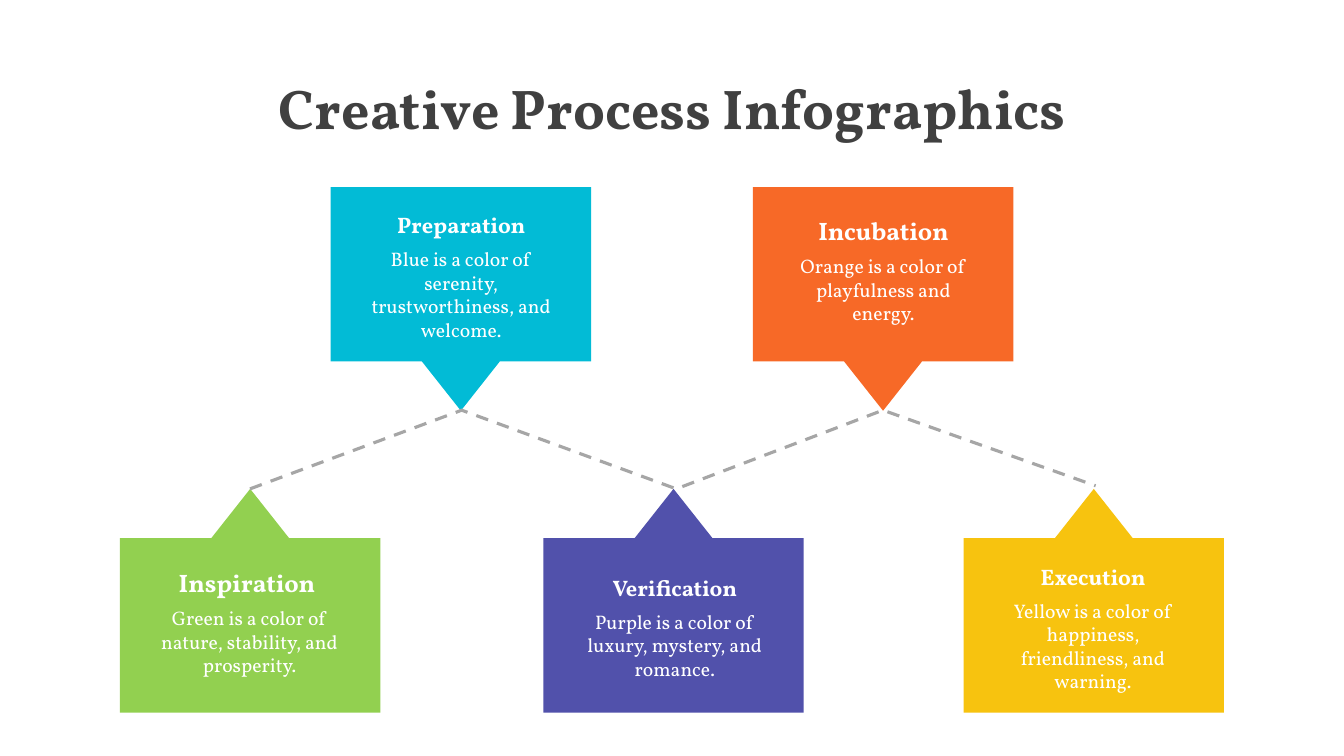
from dataclasses import dataclass

from pptx import Presentation
from pptx import util as u
from pptx.dml.color import RGBColor
from pptx.enum import dml, shapes, text

Pt = u.Pt

FONT = "Vollkorn"
WHITE = RGBColor(0xFF, 0xFF, 0xFF)
CHARCOAL = RGBColor(0x40, 0x40, 0x40)
GRAY = RGBColor(0xA6, 0xA6, 0xA6)
GREEN = RGBColor(0x92, 0xD0, 0x50)
PURPLE = RGBColor(0x51, 0x51, 0xAB)
YELLOW = RGBColor(0xF7, 0xC3, 0x0F)
BLUE = RGBColor(0x02, 0xBB, 0xD6)
ORANGE = RGBColor(0xF7, 0x69, 0x27)

PAGE_WIDTH, PAGE_HEIGHT = 960, 540
CALLOUT_WIDTH, CALLOUT_HEIGHT = 186, 159.8
UPPER_TOP, LOWER_TOP = 133.6, 349.2
CALLOUT_ADJUSTMENTS = (0.348, 0.174, 0.22, 0.799)
ROUTE = ((178.6, 349.2), (329.8, 293), (483.1, 349.2), (630.7, 293), (782.6, 347))


@dataclass(frozen=True)
class Frame:
    left: float
    top: float
    width: float
    height: float

    def lengths(self) -> tuple[u.Length, ...]:
        return Pt(self.left), Pt(self.top), Pt(self.width), Pt(self.height)


@dataclass(frozen=True)
class Line:
    words: str
    size: float
    bold: bool = False
    color: RGBColor = WHITE
    space_before: float = 0


@dataclass(frozen=True)
class Stage:
    title: str
    title_size: float
    body: str
    color: RGBColor
    left: float
    upper: bool
    label: Frame


STAGES = (
    Stage("Inspiration ", 18, "Green is a color of nature, stability, and prosperity.",
          GREEN, 85.7, False, Frame(103, 401.8, 150.5, 95.8)),
    Stage("Verification", 16, "Purple is a color of luxury, mystery, and romance.",
          PURPLE, 388.1, False, Frame(406.8, 406.8, 150.5, 85)),
    Stage("Execution", 16, "Yellow is a color of happiness, friendliness, and warning.",
          YELLOW, 688.3, False, Frame(709.9, 398.9, 141.8, 101.5)),
    Stage("Preparation", 16, "Blue is a color of serenity, trustworthiness, and welcome.",
          BLUE, 236.2, True, Frame(254.2, 147.6, 150.5, 101.5)),
    Stage("Incubation", 18, "Orange is a color of playfulness and energy.",
          ORANGE, 537.8, True, Frame(560.2, 150.5, 141.8, 95.8)),
)


def add_text(page, frame: Frame, lines: tuple[Line, ...]) -> None:
    box = page.shapes.add_textbox(*frame.lengths()).text_frame
    box.word_wrap = True
    for index, line in enumerate(lines):
        para = box.add_paragraph() if index else box.paragraphs[0]
        para.alignment = text.PP_ALIGN.CENTER
        para.space_before = Pt(line.space_before)
        span = para.add_run()
        span.text = line.words
        span.font.name = FONT
        span.font.size = Pt(line.size)
        span.font.bold = line.bold
        span.font.color.rgb = line.color


def add_callout(page, stage: Stage) -> None:
    top = UPPER_TOP if stage.upper else LOWER_TOP
    frame = Frame(stage.left, top, CALLOUT_WIDTH, CALLOUT_HEIGHT)
    callout = page.shapes.add_shape(
        shapes.MSO_SHAPE.DOWN_ARROW_CALLOUT, *frame.lengths())
    for index, value in enumerate(CALLOUT_ADJUSTMENTS):
        callout.adjustments[index] = value
    callout.rotation = 0 if stage.upper else 180
    callout.shadow.inherit = False
    callout.fill.solid()
    callout.fill.fore_color.rgb = stage.color
    callout.line.fill.background()


def add_route(page) -> None:
    start, *turns = [(Pt(x), Pt(y)) for x, y in ROUTE]
    builder = page.shapes.build_freeform(*start)
    builder.add_line_segments(turns, close=False)
    route = builder.convert_to_shape()
    route.shadow.inherit = False
    route.fill.background()
    route.line.color.rgb = GRAY
    route.line.width = Pt(2.25)
    route.line.dash_style = dml.MSO_LINE.DASH


def main() -> None:
    deck = Presentation()
    deck.slide_width, deck.slide_height = Pt(PAGE_WIDTH), Pt(PAGE_HEIGHT)
    page = deck.slides.add_slide(deck.slide_layouts[6])
    add_text(page, Frame(0, 49, PAGE_WIDTH, 55.4),
             (Line("Creative Process Infographics", 40, True, CHARCOAL),))
    for stage in STAGES:
        add_callout(page, stage)
    add_route(page)
    for stage in STAGES:
        add_text(page, stage.label, (
            Line(stage.title, stage.title_size, True),
            Line(stage.body, 14, space_before=6),
        ))
    deck.save("out.pptx")


if __name__ == "__main__":
    main()
